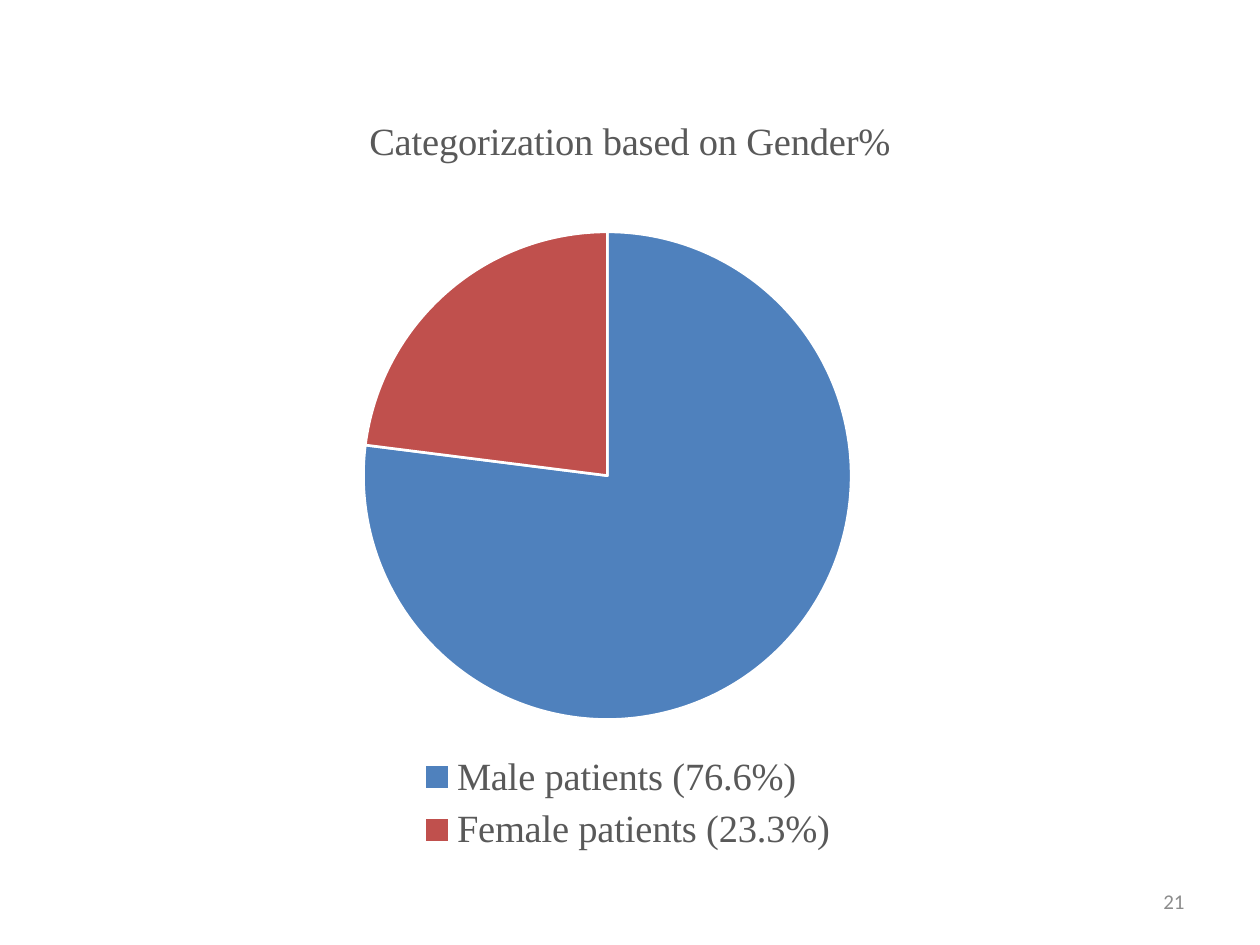
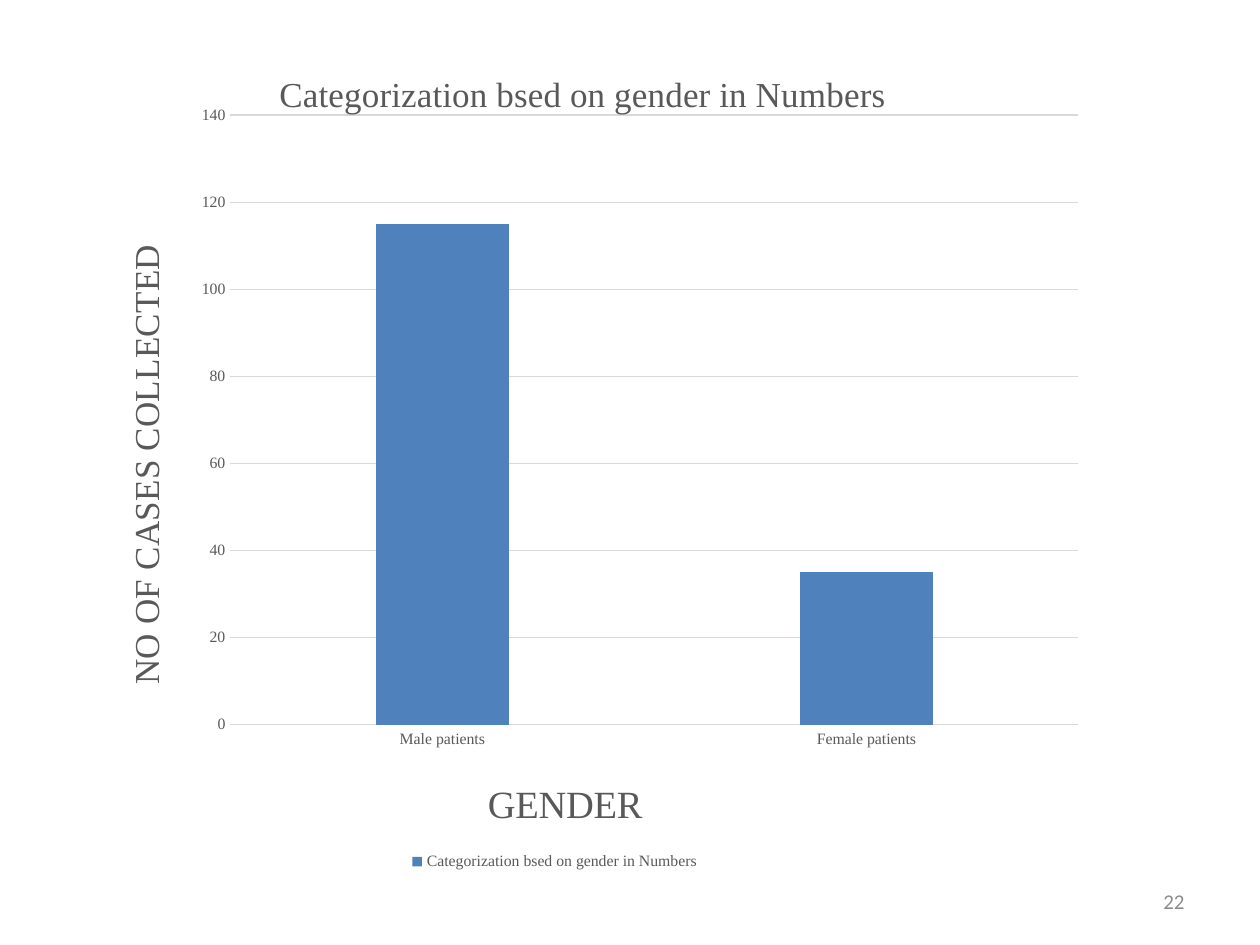
import pptx
import pptx.chart.data
import pptx.dml.color
import pptx.enum.chart
import pptx.enum.text
import pptx.oxml
import pptx.oxml.ns
import pptx.util
from dataclasses import dataclass

CELL = pptx.util.Inches(1) / 12  # the slide is 120 columns by 90 rows


@dataclass(frozen=True)
class Theme:
    chart_font: str = "Times New Roman"
    number_font: str = "Calibri"
    blue: str = "4F81BD"
    red: str = "C0504D"
    white: str = "FFFFFF"
    text: str = "595959"
    grid: str = "D9D9D9"
    number: str = "8C8C8C"
    large: int = 22
    medium: int = 20
    number_size: int = 12
    base: int = 10
    small: int = 9


THEME = Theme()


def color(code):
    return pptx.dml.color.RGBColor.from_string(code)


def set_all(target, values):
    for name, value in values.items():
        setattr(target, name, value)


def style_font(font, size, code=THEME.text, name=THEME.chart_font):
    set_all(font, {"size": pptx.util.Pt(size), "name": name, "bold": False})
    font.color.rgb = color(code)


def style_line(line, code, width):
    line.color.rgb = color(code)
    line.width = pptx.util.Pt(width)


def cells(*lengths):
    return [round(length * CELL) for length in lengths]


def place(element, percents, inner=False):
    """Pin a chart part at percents of the chart: x, y and optionally w, h."""
    for old in element.findall(pptx.oxml.ns.qn("c:layout")):
        element.remove(old)
    keys = "xywh"[:len(percents)]
    target = '<c:layoutTarget val="inner"/>' if inner else ""
    modes = "".join(f'<c:{key}Mode val="edge"/>' for key in keys if key in "xy")
    values = "".join(f'<c:{key} val="{percent / 100:.4f}"/>'
                     for key, percent in zip(keys, percents))
    layout = pptx.oxml.parse_xml(
        f'<c:layout {pptx.oxml.ns.nsdecls("c")}><c:manualLayout>'
        f"{target}{modes}{values}</c:manualLayout></c:layout>")
    overlay = element.find(pptx.oxml.ns.qn("c:overlay"))
    if overlay is None:
        element.insert(0, layout)
    else:
        overlay.addprevious(layout)


def add_title(title, text, size, corner, rotation=0):
    """Fill a chart title or an axis title."""
    frame = title.text_frame
    frame.text = text
    style_font(frame.paragraphs[0].runs[0].font, size)
    body = frame._txBody.bodyPr
    body.set("rot", str(rotation * 60000))
    body.set("vert", "horz")
    place(title._element, corner)


def add_chart(page, kind, area, categories, series_name, values, plot_area):
    data = pptx.chart.data.CategoryChartData()
    data.categories = categories
    data.add_series(series_name, values)
    chart = page.shapes.add_chart(kind, *cells(*area), data).chart
    style_font(chart.font, THEME.base)
    place(chart._chartSpace.chart.plotArea, plot_area, inner=True)
    return chart


def add_legend(chart, size, area):
    chart.has_legend = True
    set_all(chart.legend, {
        "position": pptx.enum.chart.XL_LEGEND_POSITION.BOTTOM,
        "include_in_layout": False,
    })
    style_font(chart.legend.font, size)
    place(chart.legend._element, area)


def style_axis(axis):
    none = pptx.enum.chart.XL_TICK_MARK.NONE
    set_all(axis, {"major_tick_mark": none, "minor_tick_mark": none})
    style_font(axis.tick_labels.font, THEME.small)


def add_page_number(page, number):
    box = page.shapes.add_textbox(*cells(86, 83.4, 28, 4.8))
    set_all(box.text_frame, {
        "word_wrap": True,
        "vertical_anchor": pptx.enum.text.MSO_ANCHOR.MIDDLE,
    })
    para = box.text_frame.paragraphs[0]
    para.alignment = pptx.enum.text.PP_ALIGN.RIGHT
    span = para.add_run()
    span.text = str(number)
    style_font(span.font, THEME.number_size, THEME.number, THEME.number_font)


def add_gender_share(page):
    chart = add_chart(
        page, pptx.enum.chart.XL_CHART_TYPE.PIE, (11, 7.4, 98, 75),
        ["Male patients (76.6%)", "Female patients (23.3%)"],
        "Series 1", [77, -23], (24.1, 18.3, 47.4, 64.5))
    add_title(chart.chart_title, "Categorization based on Gender%",
              THEME.large, (24, 4.1))
    add_legend(chart, THEME.large, (28.8, 84.8, 42, 14.7))
    plot = chart.plots[0]
    plot.vary_by_categories = True
    for index, code in enumerate([THEME.blue, THEME.red]):
        piece = plot.series[0].points[index].format
        piece.fill.solid()
        piece.fill.fore_color.rgb = color(code)
        style_line(piece.line, THEME.white, 1.5)


def add_gender_counts(page):
    heading = "Categorization bsed on gender in Numbers"
    chart = add_chart(
        page, pptx.enum.chart.XL_CHART_TYPE.COLUMN_CLUSTERED, (6, 4, 99, 82),
        ["Male patients", "Female patients"],
        heading, [115, 35], (16.1, 8.5, 81.6, 70.8))
    add_title(chart.chart_title, heading, THEME.medium, (20.2, 2.7))
    add_legend(chart, THEME.small, (32.3, 93.2, 30, 4))

    plot = chart.plots[0]
    set_all(plot, {"gap_width": 219, "overlap": -27, "vary_by_categories": False})
    fill = plot.series[0].format.fill
    fill.solid()
    fill.fore_color.rgb = color(THEME.blue)

    genders, cases = chart.category_axis, chart.value_axis
    for axis in (genders, cases):
        style_axis(axis)
    style_line(genders.format.line, THEME.grid, 0.75)
    add_title(genders.axis_title, "GENDER", THEME.large, (40.2, 84.9))

    set_all(cases, {"minimum_scale": 0, "maximum_scale": 140, "major_unit": 20,
                    "has_major_gridlines": True})
    cases.format.line.fill.background()
    style_line(cases.major_gridlines.format.line, THEME.grid, 0.75)
    add_title(cases.axis_title, "NO OF CASES COLLECTED", THEME.medium,
              (5.2, 22.8), rotation=-90)


def main():
    deck = pptx.Presentation()
    slide_width, slide_height = cells(120, 90)
    set_all(deck, {"slide_width": slide_width, "slide_height": slide_height})
    for number, add_content in enumerate([add_gender_share, add_gender_counts], 21):
        page = deck.slides.add_slide(deck.slide_layouts[6])
        add_content(page)
        add_page_number(page, number)
    deck.save("out.pptx")


if __name__ == "__main__":
    main()
